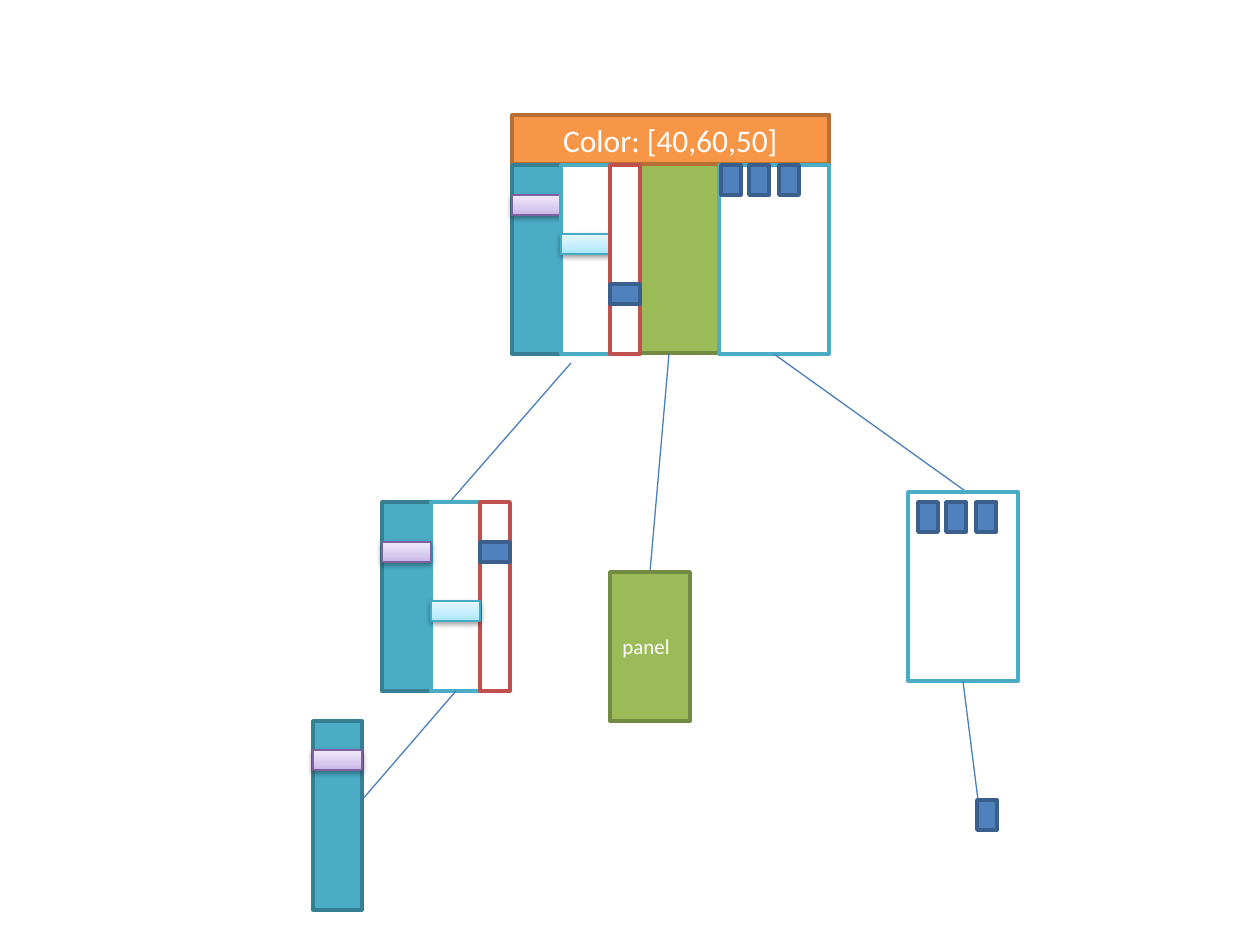
from pptx import Presentation
from pptx.dml.color import RGBColor
from pptx.enum.shapes import MSO_CONNECTOR, MSO_SHAPE
from pptx.enum.text import MSO_ANCHOR, PP_ALIGN
from pptx.oxml import parse_xml
from pptx.oxml.ns import nsdecls
from pptx.util import Inches, Pt

SCALE = Inches(1) / 126
SLIDER_HEIGHT, HANDLE_HEIGHT = 189, 20
TEAL, BLUE, GREEN, ORANGE = "4BACC6", "4F81BD", "9BBB59", "F79646"
CHIP = (BLUE, "3A5F8C")
GREEN_PANEL = (GREEN, "738A42")
FRAME = ("FFFFFF", TEAL)
COLUMNS = [
    (0, 49, (TEAL, "377F92")),
    (49, 49, FRAME),
    (98, 30, ("FFFFFF", "C0504D")),
]
HANDLES = [
    (("C9B5E8", "D8CBEE", "F0EAF9"), "7D60A0"),
    (("A7E6FF", "C1EDFF", "E7F8FF"), "46AAC5"),
    CHIP,
]


def px(length):
    return round(length * SCALE)


def rgb(value):
    return RGBColor.from_string(value)


class Diagram:
    font = "Calibri"
    link_color = "4B7EBC"

    def __init__(self, slide):
        self.slide = slide

    def box(self, left, top, width, height, colors):
        fill, border = colors
        shape = self.slide.shapes.add_shape(
            MSO_SHAPE.RECTANGLE, px(left), px(top), px(width), px(height))
        shape.shadow.inherit = False
        shape.line.color.rgb = rgb(border)
        if isinstance(fill, tuple):
            shape.line.width = Pt(0.75)
            self.glossy(shape, fill)
        else:
            shape.line.width = Pt(2)
            shape.fill.solid()
            shape.fill.fore_color.rgb = rgb(fill)
        return shape

    def glossy(self, shape, tones):
        stops = "".join(
            f'<a:gs pos="{position}"><a:srgbClr val="{tone}"/></a:gs>'
            for position, tone in zip((0, 35000, 100000), tones))
        properties = shape.element.spPr
        properties.find(".//{*}prstGeom").addnext(parse_xml(
            f'<a:gradFill {nsdecls("a")} rotWithShape="1"><a:gsLst>{stops}</a:gsLst>'
            '<a:lin ang="16200000" scaled="1"/></a:gradFill>'))
        properties.find("{*}effectLst").append(parse_xml(
            f'<a:outerShdw {nsdecls("a")} blurRad="40000" dist="20000" dir="5400000" '
            'rotWithShape="0"><a:srgbClr val="000000"><a:alpha val="38000"/>'
            '</a:srgbClr></a:outerShdw>'))

    def label(self, shape, text, size, align):
        frame = shape.text_frame
        frame.word_wrap = True
        frame.vertical_anchor = MSO_ANCHOR.MIDDLE
        paragraph = frame.paragraphs[0]
        paragraph.alignment = align
        run = paragraph.add_run()
        run.text = text
        run.font.name = self.font
        run.font.size = Pt(size)
        run.font.color.rgb = rgb("FFFFFF")

    def link(self, *ends):
        line = self.slide.shapes.add_connector(
            MSO_CONNECTOR.STRAIGHT, *(px(end) for end in ends))
        line.line.color.rgb = rgb(self.link_color)
        line.line.width = Pt(0.75)
        line.element.spPr.append(parse_xml(f'<a:effectLst {nsdecls("a")}/>'))

    def column(self, index, left, top):
        offset, width, colors = COLUMNS[index]
        self.box(left + offset, top, width, SLIDER_HEIGHT, colors)

    def handle(self, index, left, top):
        offset, width, _ = COLUMNS[index]
        self.box(left + offset, top, width, HANDLE_HEIGHT, HANDLES[index])

    def chip(self, left, top):
        self.box(left, top, 20, 30, CHIP)

    def palette(self, left, top, chips_left, chips_top):
        self.box(left, top, 110, SLIDER_HEIGHT, FRAME)
        for offset in (0, 28, 58):
            self.chip(chips_left + offset, chips_top)


presentation = Presentation()
presentation.slide_width, presentation.slide_height = Inches(10), Inches(7.5)
diagram = Diagram(presentation.slides.add_slide(presentation.slide_layouts[6]))

diagram.box(512, 115, 317, 238, GREEN_PANEL)
header = diagram.box(512, 115, 317, 49, (ORANGE, "B76F34"))
diagram.label(header, "Color: [40,60,50]", 18, PP_ALIGN.CENTER)
for index, handle_top in enumerate((195, 234, 284)):
    diagram.column(index, 512, 165)
    diagram.handle(index, 512, handle_top)
diagram.palette(719, 165, 721, 165)

for ends in ((571, 363, 441, 512), (669, 354, 650, 572), (774, 354, 968, 493)):
    diagram.link(*ends)

for index in range(3):
    diagram.column(index, 382, 502)
for index, handle_top in enumerate((542, 601, 542)):
    diagram.handle(index, 382, handle_top)

panel = diagram.box(610, 572, 80, 149, GREEN_PANEL)
diagram.label(panel, "panel", 12, PP_ALIGN.LEFT)
diagram.palette(908, 492, 918, 502)

diagram.link(456, 691, 362, 800)
diagram.link(963, 681, 978, 800)
diagram.column(0, 313, 721)
diagram.handle(0, 313, 750)
diagram.chip(977, 800)

presentation.save("out.pptx")
